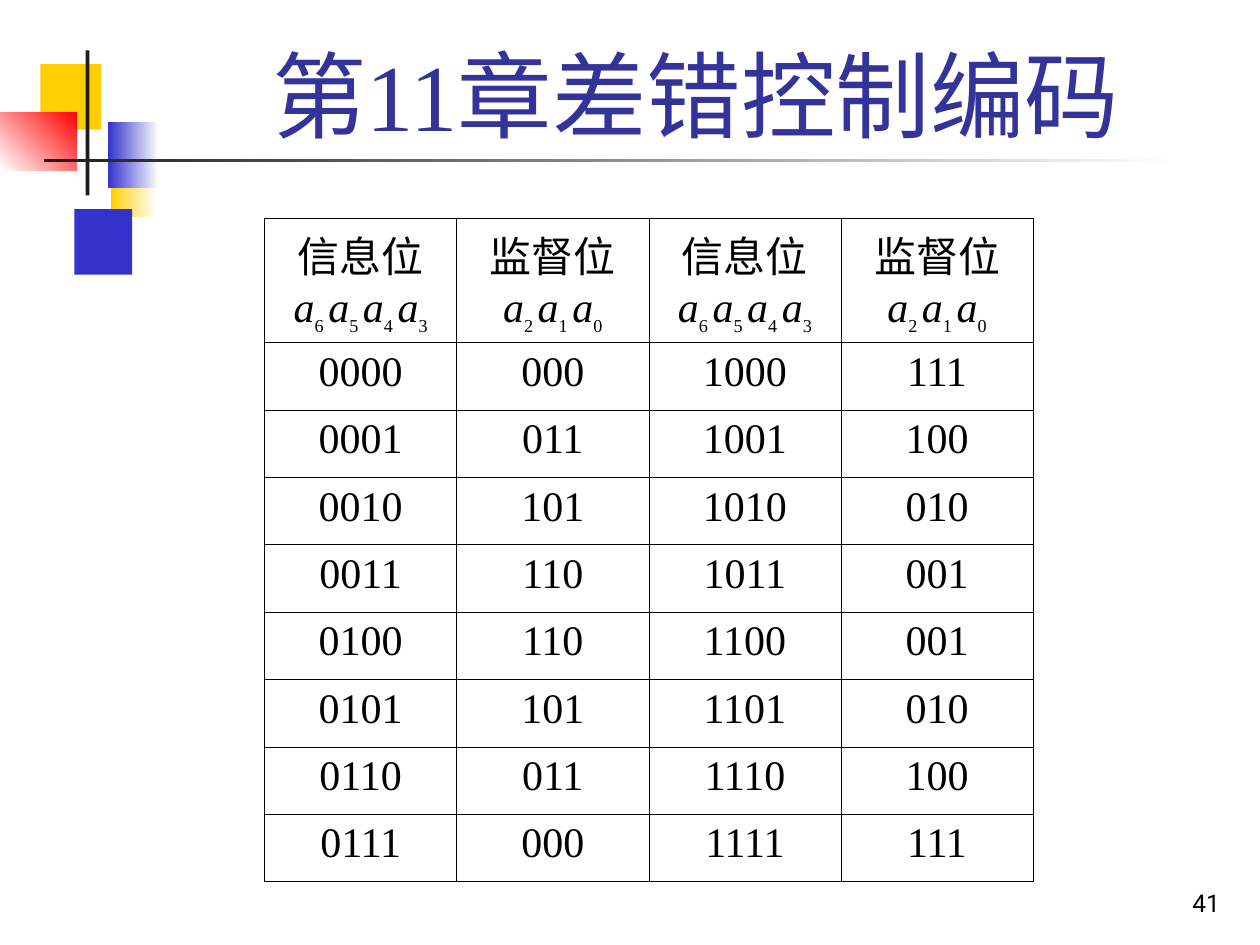
from lxml import etree
from pptx import Presentation
from pptx.dml.color import RGBColor
from pptx.enum.shapes import MSO_SHAPE
from pptx.enum.text import MSO_ANCHOR, PP_ALIGN
from pptx.oxml.ns import qn
from pptx.util import Inches, Pt

RECTANGLE = MSO_SHAPE.RECTANGLE
BOTTOM = MSO_ANCHOR.BOTTOM
CENTER, RIGHT = PP_ALIGN.CENTER, PP_ALIGN.RIGHT

WHITE = RGBColor(0xFF, 0xFF, 0xFF)
BLACK = RGBColor(0x00, 0x00, 0x00)
CHARCOAL = RGBColor(0x1C, 0x1C, 0x1C)
YELLOW = RGBColor(0xFF, 0xCF, 0x01)
BLUE = RGBColor(0x33, 0x33, 0xCC)
RED = RGBColor(0xFF, 0x00, 0x00)
TITLE_BLUE = RGBColor(0x33, 0x33, 0x99)

SERIF = "Times New Roman"


def write(paragraph, text, size=24, font=SERIF, color=BLACK, align=CENTER,
          italic=False, subscript=False):
    paragraph.alignment = align
    run = paragraph.add_run()
    run.text = text
    run.font.size = Pt(size)
    run.font.name = font
    run.font.color.rgb = color
    run.font.italic = italic
    if subscript:
        run._r.get_or_add_rPr().set("baseline", "-30000")


def add_border(cell):
    """Draw a thin black line on all four sides; call before filling the cell."""
    properties = cell._tc.get_or_add_tcPr()
    for side in ("lnL", "lnR", "lnT", "lnB"):
        line = etree.SubElement(properties, qn(f"a:{side}"), w=str(Pt(0.45)))
        fill = etree.SubElement(line, qn("a:solidFill"))
        etree.SubElement(fill, qn("a:srgbClr"), val=str(BLACK))


prs = Presentation()
prs.slide_width, prs.slide_height = Inches(10), Inches(7.5)
slide = prs.slides.add_slide(prs.slide_layouts[6])

# Corner ornament: left, top, width, height, colours, counter-clockwise angle
ornament = [
    (0.88, 1.2, 0.36, 0.52, (WHITE, YELLOW), 180),
    (0.59, 1.66, 0.46, 0.52, (BLUE,), None),
    (0.32, 0.51, 0.48, 0.52, (YELLOW,), None),
    (0.86, 0.97, 0.4, 0.52, (WHITE, BLUE), 180),
    (0, 0.89, 0.61, 0.46, (RED, WHITE), 225),
    (0.68, 0.4, 0.03, 1.15, (CHARCOAL,), None),
    (0.35, 1.26, 9, 0.03, (WHITE, CHARCOAL), 180),
]
for left, top, width, height, colors, angle in ornament:
    block = slide.shapes.add_shape(RECTANGLE, Inches(left), Inches(top),
                                   Inches(width), Inches(height))
    block.shadow.inherit = False
    block.line.fill.background()
    if angle is None:
        block.fill.solid()
        block.fill.fore_color.rgb = colors[0]
    else:
        block.fill.gradient()
        block.fill.gradient_angle = angle
        for stop, color in zip(block.fill.gradient_stops, colors):
            stop.color.rgb = color

# Title and page number
captions = [
    (1.26, 0.23, 8.52, 1.01, "第11章差错控制编码",
     dict(size=54, color=TITLE_BLUE)),
    (7.7, 6.83, 2.08, 0.5, "41", dict(size=14, font="Roboto", align=RIGHT)),
]
for left, top, width, height, text, style in captions:
    frame = slide.shapes.add_textbox(Inches(left), Inches(top), Inches(width),
                                     Inches(height)).text_frame
    frame.word_wrap = True
    frame.vertical_anchor = BOTTOM
    write(frame.paragraphs[0], text, **style)

# Code table: information bits with their check bits
headers = [("信息位", "6543"), ("监督位", "210")] * 2
codewords = [
    ("0000", "000", "1000", "111"),
    ("0001", "011", "1001", "100"),
    ("0010", "101", "1010", "010"),
    ("0011", "110", "1011", "001"),
    ("0100", "110", "1100", "001"),
    ("0101", "101", "1101", "010"),
    ("0110", "011", "1110", "100"),
    ("0111", "000", "1111", "111"),
]
TABLE_WIDTH, TABLE_HEIGHT, HEADER_HEIGHT = Inches(6.1), Inches(5.27), Inches(0.99)
code_table = slide.shapes.add_table(
    len(codewords) + 1, len(headers), Inches(2.1), Inches(1.73),
    TABLE_WIDTH, TABLE_HEIGHT).table
code_table.first_row = False
code_table.horz_banding = False
for row in code_table.rows:
    row.height = (TABLE_HEIGHT - HEADER_HEIGHT) // len(codewords)
code_table.rows[0].height = HEADER_HEIGHT

for cell in code_table.iter_cells():
    add_border(cell)
    cell.fill.solid()
    cell.fill.fore_color.rgb = WHITE

for column, (label, indices) in enumerate(headers):
    frame = code_table.cell(0, column).text_frame
    write(frame.paragraphs[0], label)
    symbols = frame.add_paragraph()
    for index in indices:
        write(symbols, "a", italic=True)
        separator = "" if index == indices[-1] else " "
        write(symbols, index + separator, size=18, subscript=True)

for row_number, codeword in enumerate(codewords, start=1):
    for column, bits in enumerate(codeword):
        write(code_table.cell(row_number, column).text_frame.paragraphs[0], bits)

prs.save("out.pptx")
